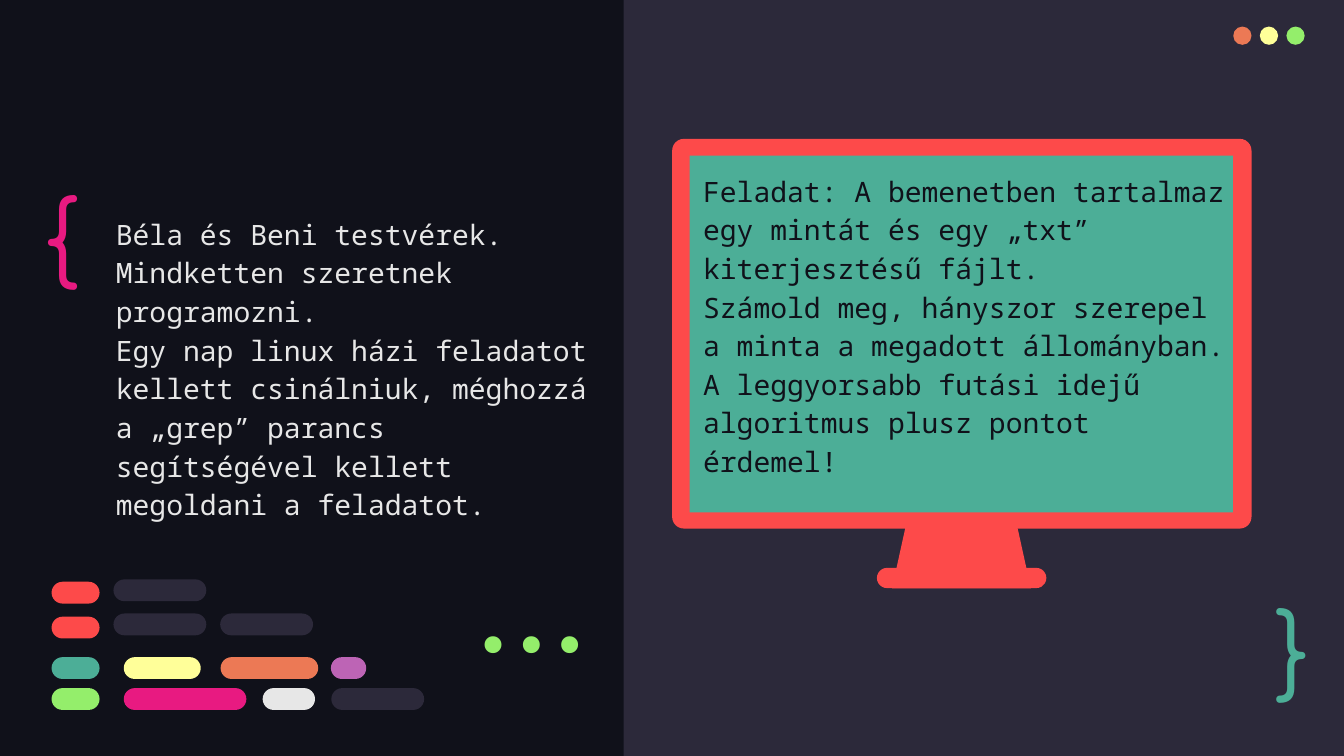
from dataclasses import dataclass

from pptx import Presentation
from pptx.dml.color import RGBColor
from pptx.enum.shapes import MSO_SHAPE as Preset
from pptx.enum.text import MSO_ANCHOR as Anchor, PP_ALIGN as Align
from pptx.shapes.shapetree import SlideShapes
from pptx.util import Cm, Pt

NIGHT = RGBColor(0x10, 0x11, 0x1A)
SLATE = RGBColor(0x2C, 0x29, 0x3A)
RED = RGBColor(0xFD, 0x4A, 0x4A)
TEAL = RGBColor(0x4C, 0xAE, 0x97)
ORANGE = RGBColor(0xEC, 0x79, 0x55)
YELLOW = RGBColor(0xFF, 0xFF, 0x99)
GREEN = RGBColor(0x94, 0xEE, 0x6B)
PINK = RGBColor(0xE8, 0x1A, 0x81)
PURPLE = RGBColor(0xBD, 0x64, 0xB5)
PALE = RGBColor(0xE7, 0xE7, 0xE7)

WIDTH, HEIGHT = 33.87, 19.05
PANEL_LEFT = 15.72
INSET = Cm(0.34)
DOT_SIZE, DOT_STEP = 0.46, 0.67
PILL_HEIGHT = 0.55


@dataclass(frozen=True)
class Box:
    """A frame in centimetres."""
    left: float
    top: float
    width: float
    height: float

    def lengths(self) -> tuple[Cm, Cm, Cm, Cm]:
        return Cm(self.left), Cm(self.top), Cm(self.width), Cm(self.height)


@dataclass(frozen=True)
class Part:
    preset: Preset
    box: Box
    color: RGBColor
    adjustment: float | None = None


@dataclass(frozen=True)
class Pill:
    left: float
    top: float
    width: float
    color: RGBColor


@dataclass(frozen=True)
class Label:
    text: str
    box: Box
    font: str
    size: float
    color: RGBColor
    spacing: float = 1.0
    anchor: Anchor = Anchor.TOP
    align: Align = Align.LEFT


PANEL = Part(Preset.RECTANGLE, Box(PANEL_LEFT, 0, WIDTH - PANEL_LEFT, HEIGHT), SLATE)

MONITOR = [
    Part(Preset.TRAPEZOID, Box(22.48, 13.23, 3.5, 1.6), RED, 0.22),
    Part(Preset.ROUNDED_RECTANGLE, Box(16.94, 3.5, 14.6, 9.82), RED, 0.03),
    Part(Preset.RECTANGLE, Box(17.38, 3.92, 13.69, 8.99), TEAL),
    Part(Preset.ROUNDED_RECTANGLE, Box(22.1, 14.31, 4.27, 0.51), RED, 0.5),
]

WINDOW_DOTS = [
    Part(Preset.OVAL, Box(31.08 + index * DOT_STEP, 0.67, DOT_SIZE, DOT_SIZE), color)
    for index, color in enumerate((ORANGE, YELLOW, GREEN))
]

PILLS = [
    Pill(1.3, 14.66, 1.21, RED),
    Pill(2.86, 14.6, 2.34, SLATE),
    Pill(1.3, 15.54, 1.21, RED),
    Pill(2.86, 15.46, 2.34, SLATE),
    Pill(5.55, 15.46, 2.34, SLATE),
    Pill(1.3, 16.56, 1.21, TEAL),
    Pill(3.12, 16.56, 1.94, YELLOW),
    Pill(5.56, 16.56, 2.46, ORANGE),
    Pill(8.34, 16.56, 0.89, PURPLE),
    Pill(1.3, 17.34, 1.21, GREEN),
    Pill(3.12, 17.34, 3.09, PINK),
    Pill(6.62, 17.34, 1.32, PALE),
    Pill(8.35, 17.34, 2.34, SLATE),
]
CODE_LINES = [
    Part(Preset.ROUNDED_RECTANGLE, Box(pill.left, pill.top, pill.width, PILL_HEIGHT),
         pill.color, 0.5)
    for pill in PILLS
]

STORY = """Béla és Beni testvérek.
Mindketten szeretnek programozni.
Egy nap linux házi feladatot kellett csinálniuk, méghozzá a „grep” parancs \
segítségével kellett megoldani a feladatot."""

TASK = """Feladat: A bemenetben tartalmaz egy mintát és egy „txt” kiterjesztésű fájlt.
Számold meg, hányszor szerepel a minta a megadott állományban.
A leggyorsabb futási idejű algoritmus plusz pontot érdemel!"""

LABELS = [
    Label(STORY, Box(2.58, 5.01, 12.73, 9.32), "Noto Sans Mono", 20, PALE, 1.15),
    Label("{", Box(0.76, 4.07, 2.62, 3.23), "Comfortaa", 66.7, PINK),
    Label("}", Box(31.8, 14.83, 1.93, 2.82), "Comfortaa", 66.7, TEAL,
          anchor=Anchor.MIDDLE),
    Label("...", Box(10.56, 15.23, 5.36, 2.03), "Fira Code", 66.7, GREEN,
          anchor=Anchor.BOTTOM, align=Align.RIGHT),
    Label(TASK, Box(17.38, 3.92, 13.89, 8.99), "Noto Sans Mono", 20, NIGHT, 1.15),
]


def draw_part(shapes: SlideShapes, part: Part) -> None:
    shape = shapes.add_shape(part.preset, *part.box.lengths())
    shape.shadow.inherit = False
    shape.fill.solid()
    shape.fill.fore_color.rgb = part.color
    shape.line.fill.background()
    if part.adjustment is not None:
        shape.adjustments[0] = part.adjustment


def draw_label(shapes: SlideShapes, label: Label) -> None:
    frame = shapes.add_textbox(*label.box.lengths()).text_frame
    frame.word_wrap = True
    frame.vertical_anchor = label.anchor
    frame.margin_left = frame.margin_right = INSET
    frame.margin_top = frame.margin_bottom = INSET
    frame.text = label.text
    for para in frame.paragraphs:
        para.alignment = label.align
        para.line_spacing = label.spacing
        for span in para.runs:
            span.font.name = label.font
            span.font.size = Pt(label.size)
            span.font.color.rgb = label.color


def main() -> None:
    deck = Presentation()
    deck.slide_width, deck.slide_height = Cm(WIDTH), Cm(HEIGHT)
    page = deck.slides.add_slide(deck.slide_layouts.get_by_name("Blank"))
    page.background.fill.solid()
    page.background.fill.fore_color.rgb = NIGHT

    for part in (PANEL, *MONITOR, *WINDOW_DOTS, *CODE_LINES):
        draw_part(page.shapes, part)
    for label in LABELS:
        draw_label(page.shapes, label)
    deck.save("out.pptx")


if __name__ == "__main__":
    main()
